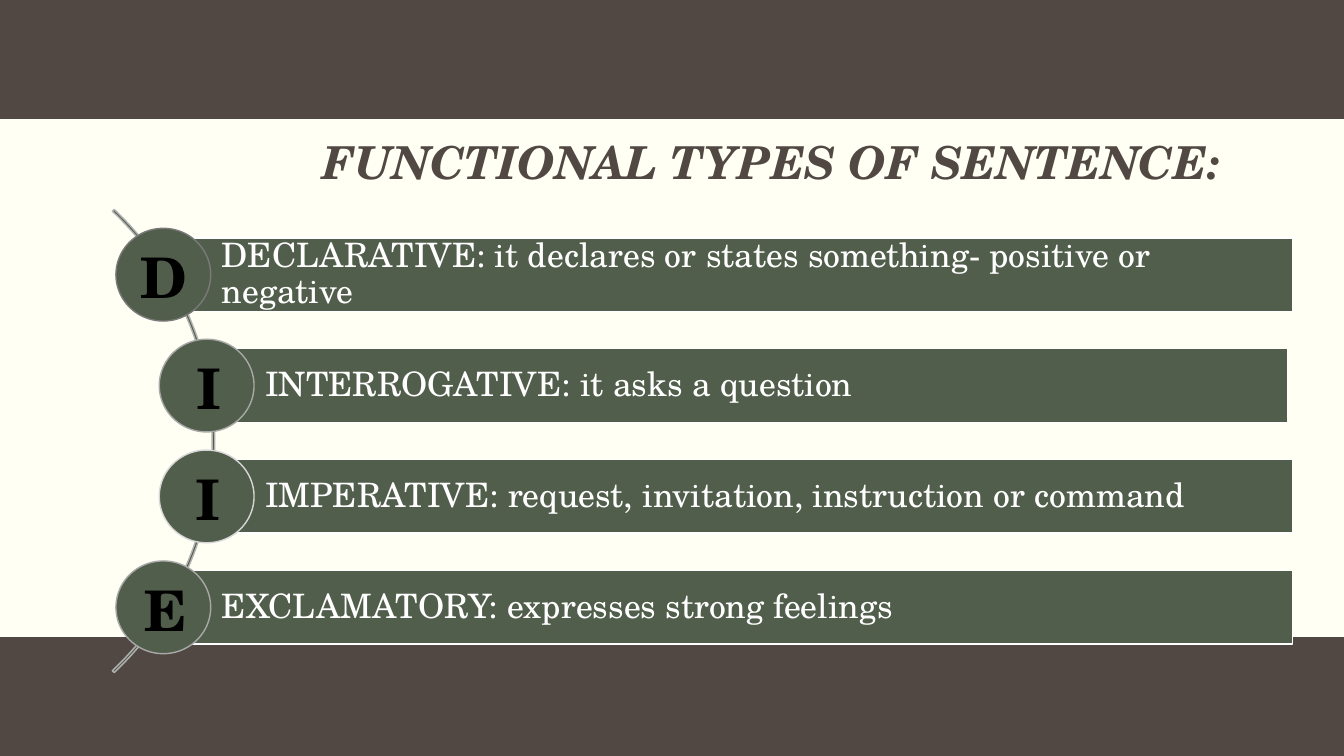
import pptx
import pptx.dml.color
import pptx.enum.shapes
import pptx.enum.text
import pptx.util

Inches = pptx.util.Inches
Pt = pptx.util.Pt
Shape = pptx.enum.shapes.MSO_SHAPE
Anchor = pptx.enum.text.MSO_ANCHOR

FONT = "TeX Gyre Schola"
COLOURS = {
    "cream": "FFFFF3",
    "brown": "514843",
    "green": "525E4C",
    "white": "FFFFFF",
    "black": "000000",
    "arc": "B1B1B1",
}
FIRST_BAR_TOP, BAR_STEP, BAR_HEIGHT = 2.36, 1.1, 0.73
CIRCLE_WIDTH, CIRCLE_HEIGHT = 0.94, 0.92

# letter, letter left, letter width, bar left, bar right, circle outline, text
SENTENCE_TYPES = [
    ("D", 1.3, 0.67, 1.62, 12.82, "7A7A7A",
     "DECLARATIVE: it declares or states something- positive or negative"),
    ("I", 1.85, 0.45, 2.05, 12.77, "A8A8A8",
     "INTERROGATIVE: it asks a question"),
    ("I", 1.84, 0.45, 2.05, 12.82, "D6D6D6",
     "IMPERATIVE: request, invitation, instruction or command"),
    ("E", 1.33, 0.61, 1.62, 12.82, "A8A8A8",
     "EXCLAMATORY: expresses strong feelings"),
]


def rgb(value):
    return pptx.dml.color.RGBColor.from_string(value)


def add_filled(slide, kind, box, fill, outline=None):
    shape = slide.shapes.add_shape(kind, *map(Inches, box))
    shape.shadow.inherit = False
    shape.fill.solid()
    shape.fill.fore_color.rgb = rgb(fill)
    if outline:
        shape.line.color.rgb = rgb(outline)
        shape.line.width = Pt(1)
    else:
        shape.line.fill.background()
    return shape


def write(shape, text, size, colour, bold=False, italic=False,
          margins=(0.1, 0.05, 0.1, 0.05), anchor=Anchor.TOP, wrap=True, spacing=None):
    """Put one left-aligned line of text into a shape; margins run left, top, right, bottom."""
    frame = shape.text_frame
    frame.word_wrap = wrap
    frame.vertical_anchor = anchor
    (frame.margin_left, frame.margin_top,
     frame.margin_right, frame.margin_bottom) = map(Inches, margins)
    paragraph = frame.paragraphs[0]
    paragraph.alignment = pptx.enum.text.PP_ALIGN.LEFT
    if spacing:
        paragraph.line_spacing = spacing
    run = paragraph.add_run()
    run.text = text
    run.font.name = FONT
    run.font.size = Pt(size)
    run.font.bold = bold
    run.font.italic = italic
    run.font.color.rgb = rgb(colour)


def add_title(slide):
    title = slide.shapes.add_textbox(*map(Inches, (3.2, 1.37, 11.04, 0.52)))
    write(title, "FUNCTIONAL TYPES OF SENTENCE:", 32.4, COLOURS["brown"], bold=True,
          italic=True, margins=(0, 0.05, 0, 0.05), anchor=Anchor.MIDDLE, spacing=0.9)


def add_arc(slide):
    arc = add_filled(slide, Shape.BLOCK_ARC, (-4.46, 1.17, 6.59, 6.41),
                     COLOURS["green"], COLOURS["arc"])
    for index, value in enumerate((189, 27, 0.004)):
        arc.adjustments[index] = value


def add_sentence_type(slide, top, letter, letter_left, letter_width,
                      left, right, outline, text):
    bar = add_filled(slide, Shape.RECTANGLE, (left, top, right - left, BAR_HEIGHT),
                     COLOURS["green"], COLOURS["white"])
    write(bar, text, 24, COLOURS["white"], margins=(0.58, 0.09, 0.09, 0.09),
          anchor=Anchor.MIDDLE, spacing=0.9)
    circle_box = (left - CIRCLE_WIDTH / 2, top + (BAR_HEIGHT - CIRCLE_HEIGHT) / 2,
                  CIRCLE_WIDTH, CIRCLE_HEIGHT)
    add_filled(slide, Shape.OVAL, circle_box, COLOURS["green"], outline)
    initial = slide.shapes.add_textbox(
        *map(Inches, (letter_left, top, letter_width, 0.77)))
    write(initial, letter, 40, COLOURS["black"], bold=True, wrap=False)


def main():
    deck = pptx.Presentation()
    deck.slide_width, deck.slide_height = Inches(13.33), Inches(7.5)
    slide = deck.slides.add_slide(deck.slide_layouts[6])
    slide.background.fill.solid()
    slide.background.fill.fore_color.rgb = rgb(COLOURS["cream"])
    for band_top in (0, 6.32):
        add_filled(slide, Shape.RECTANGLE, (0, band_top, 13.33, 1.18), COLOURS["brown"])
    add_title(slide)
    add_arc(slide)
    for index, sentence_type in enumerate(SENTENCE_TYPES):
        add_sentence_type(slide, FIRST_BAR_TOP + index * BAR_STEP, *sentence_type)
    deck.save("out.pptx")


if __name__ == "__main__":
    main()
